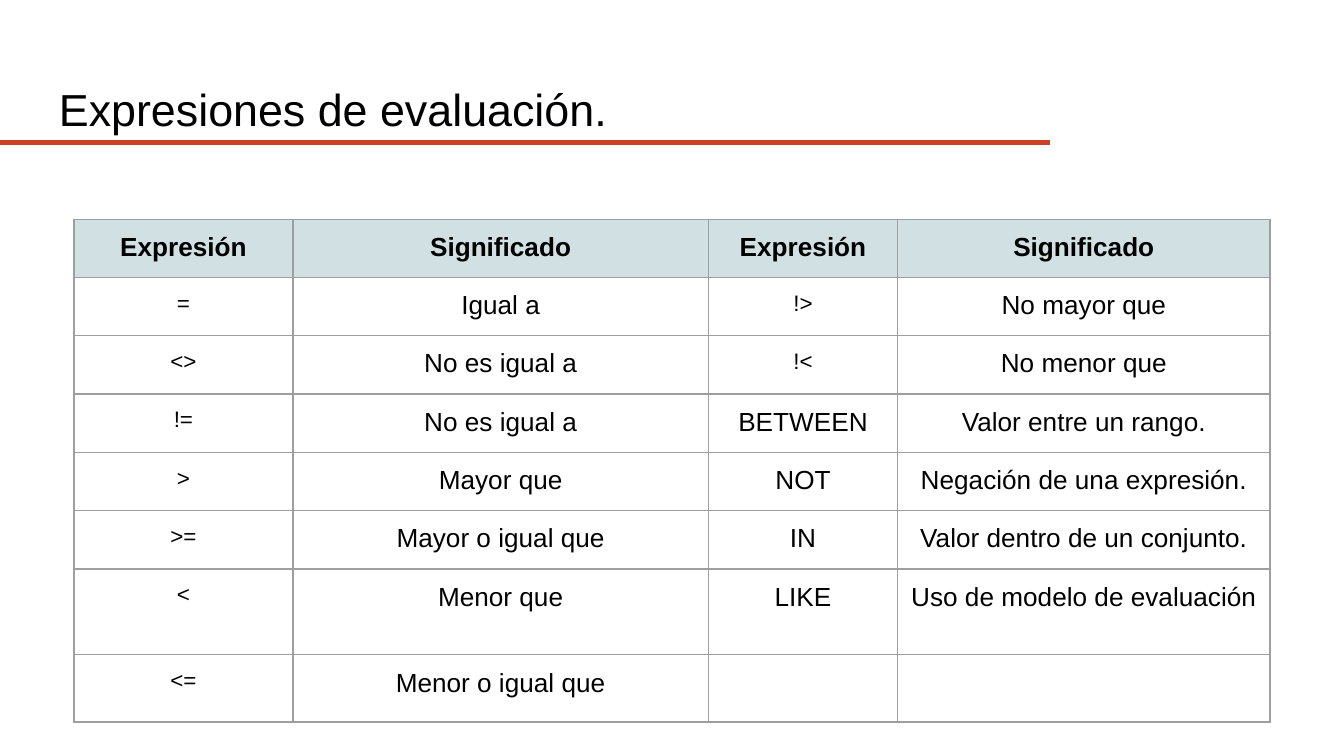
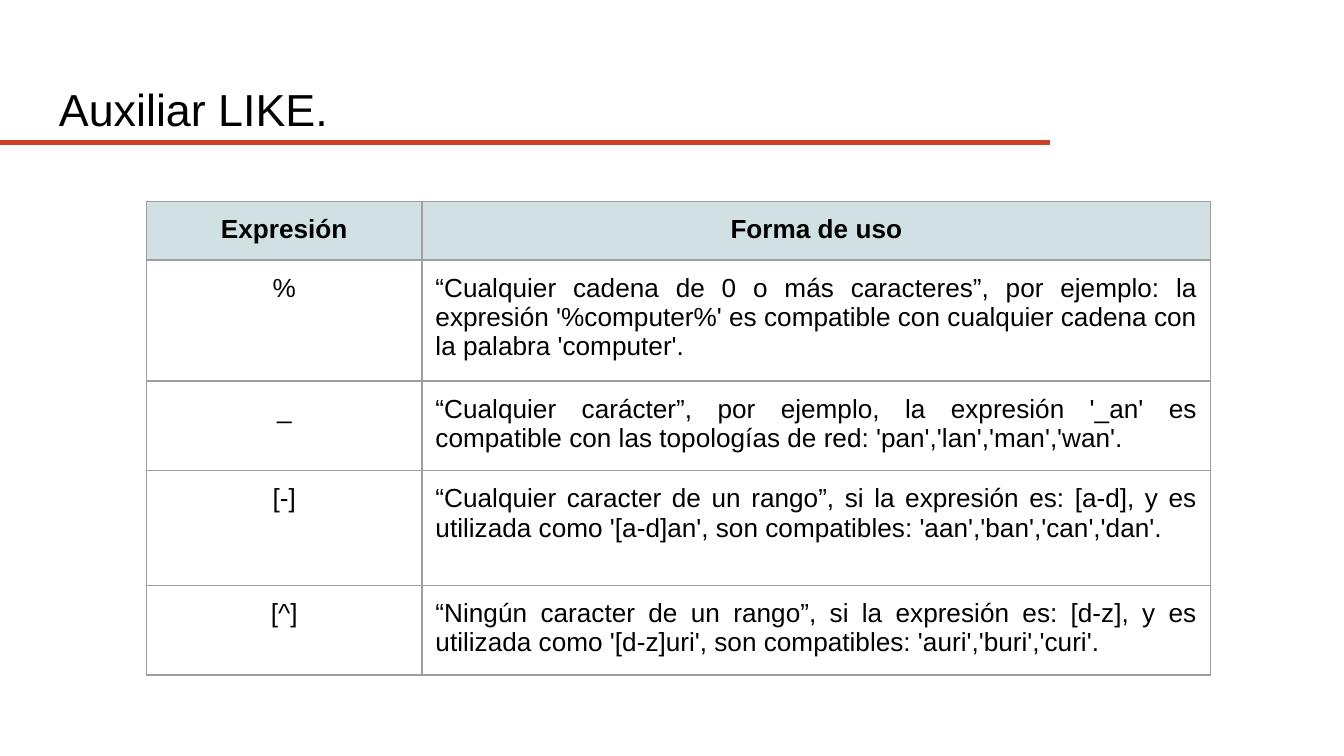
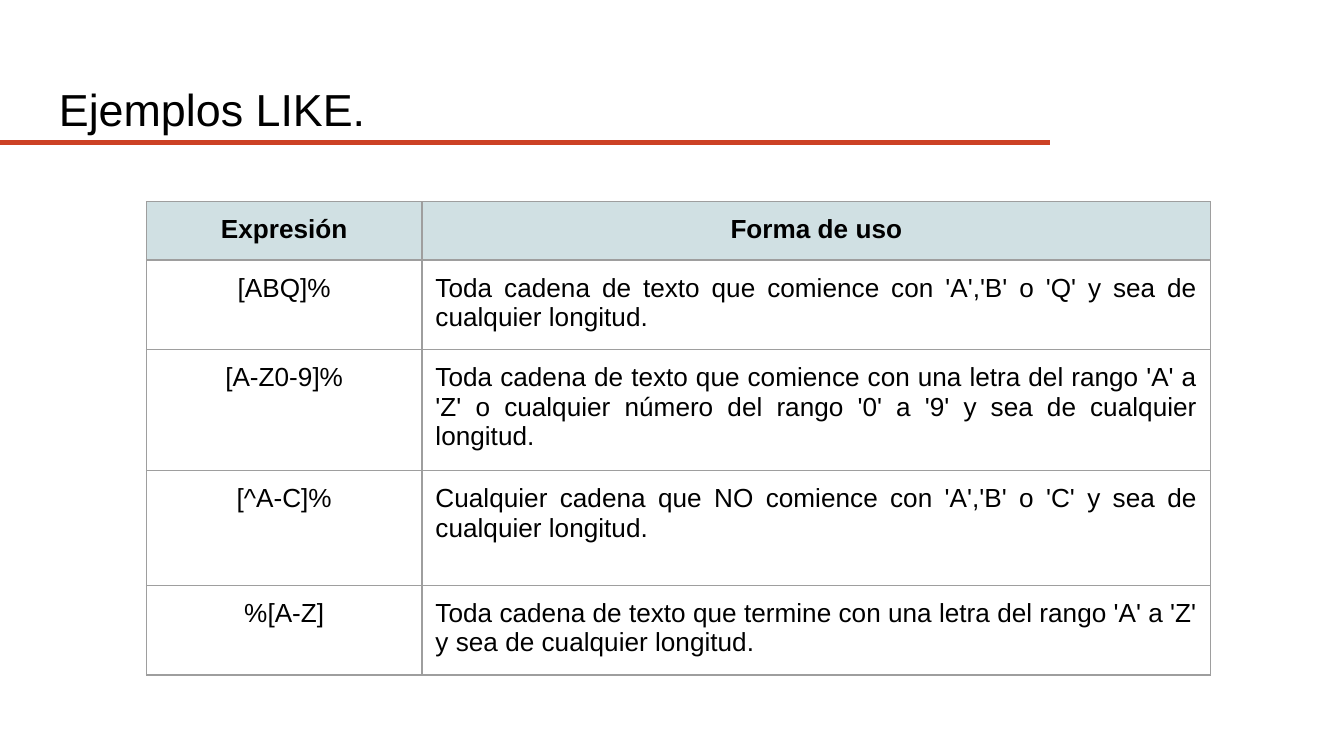
from lxml import etree
from pptx import Presentation
from pptx.dml.color import RGBColor
from pptx.enum.shapes import MSO_CONNECTOR
from pptx.enum.text import MSO_ANCHOR, PP_ALIGN
from pptx.oxml.ns import qn
from pptx.util import Pt

STRAIGHT = MSO_CONNECTOR.STRAIGHT
MIDDLE, TOP = MSO_ANCHOR.MIDDLE, MSO_ANCHOR.TOP
LEFT, CENTER, JUSTIFY = PP_ALIGN.LEFT, PP_ALIGN.CENTER, PP_ALIGN.JUSTIFY

COLORS = {"text": "000000", "rule": "CC4125", "header": "D0E0E3", "border": "9E9E9E"}
FONT = "Arial"
PADDING = {f"margin_{side}": Pt(7.2) for side in ("left", "top", "right", "bottom")}

# Boxes as left, top, width, height
TITLE_BOX = (24.5, 35.3, 671, 45.4)
RULE_BOX = (0, 76.3, 562.3, 0)
OPERATORS_BOX = (39.6, 117.4, 640.8, 260.6)
LIKE_BOX = (78.5, 108, 570.2, 245)

# Row heights by number of text lines
ONE, TWO, THREE = 30, 46, 61.5

OPERATOR_WIDTHS = (117.4, 222.5, 101.5, 199.4)
OPERATOR_HEIGHTS = [ONE] * 6 + [TWO, 34.3]
OPERATOR_ROWS = [
    ("Expresión", "Significado", "Expresión", "Significado"),
    ("=", "Igual a", "!>", "No mayor que"),
    ("<>", "No es igual a", "!<", "No menor que"),
    ("!=", "No es igual a", "BETWEEN", "Valor entre un rango."),
    (">", "Mayor que", "NOT", "Negación de una expresión."),
    (">=", "Mayor o igual que", "IN", "Valor dentro de un conjunto."),
    ("<", "Menor que", "LIKE", "Uso de modelo de evaluación"),
    ("<=", "Menor o igual que", "", ""),
]

LIKE_WIDTHS = (147.6, 422.6)
LIKE_HEADER = ("Expresión", "Forma de uso")
WILDCARD_HEIGHTS = (ONE, THREE, TWO, THREE, TWO)
WILDCARD_ROWS = [
    LIKE_HEADER,
    ("%", "“Cualquier cadena de 0 o más caracteres”, por ejemplo: la expresión "
          "'%computer%' es compatible con cualquier cadena con la palabra 'computer'."),
    ("_", "“Cualquier carácter”, por ejemplo, la expresión '_an' es compatible "
          "con las topologías de red: 'pan','lan','man','wan'."),
    ("[-]", "“Cualquier caracter de un rango”, si la expresión es: [a-d], y es "
            "utilizada como '[a-d]an', son compatibles: 'aan','ban','can','dan'."),
    ("[^]", "“Ningún caracter de un rango”, si la expresión es: [d-z], y es "
            "utilizada como '[d-z]uri', son compatibles: 'auri','buri','curi'."),
]
EXAMPLE_HEIGHTS = (ONE, TWO, THREE, THREE, TWO)
EXAMPLE_ROWS = [
    LIKE_HEADER,
    ("[ABQ]%", "Toda cadena de texto que comience con 'A','B' o 'Q' y sea de "
               "cualquier longitud."),
    ("[A-Z0-9]%", "Toda cadena de texto que comience con una letra del rango 'A' a 'Z' "
                  "o cualquier número del rango '0' a '9' y sea de cualquier longitud."),
    ("[^A-C]%", "Cualquier cadena que NO comience con 'A','B' o 'C' y sea de "
                "cualquier longitud."),
    ("%[A-Z]", "Toda cadena de texto que termine con una letra del rango 'A' a 'Z' "
               "y sea de cualquier longitud."),
]


def color(name):
    return RGBColor.from_string(COLORS[name])


def set_values(target, values):
    for name, value in values.items():
        setattr(target, name, value)


def write(frame, text, size, align=LEFT, bold=False):
    para = frame.paragraphs[0]
    para.alignment = align
    span = para.add_run()
    span.text = text
    set_values(span.font, {"name": FONT, "size": Pt(size), "bold": bold})
    span.font.color.rgb = color("text")


def add_borders(cell):
    properties = cell._tc.get_or_add_tcPr()
    for side in ("lnL", "lnR", "lnT", "lnB"):
        line = etree.SubElement(properties, qn(f"a:{side}"), w=str(Pt(0.75)))
        fill = etree.SubElement(line, qn("a:solidFill"))
        etree.SubElement(fill, qn("a:srgbClr"), val=COLORS["border"])


def add_title(page, text):
    # Title text
    box = page.shapes.add_textbox(*map(Pt, TITLE_BOX))
    set_values(box.text_frame, {"word_wrap": True, "vertical_anchor": MIDDLE, **PADDING})
    write(box.text_frame, text, 24)

    # Rule under the title
    left, top, width, height = RULE_BOX
    rule = page.shapes.add_connector(
        STRAIGHT, Pt(left), Pt(top), Pt(left + width), Pt(top + height))
    rule.line.color.rgb = color("rule")
    rule.line.width = Pt(3)
    etree.SubElement(rule._element.spPr, qn("a:effectLst"))


def add_grid(page, box, rows, widths, heights, body_align, symbol_size):
    """Table with a tinted header; symbol_size applies to cells without letters."""
    shape = page.shapes.add_table(len(rows), len(widths), *map(Pt, box))
    table = shape.table
    set_values(table, {"first_row": False, "horz_banding": False})
    for column, width in zip(table.columns, widths):
        column.width = Pt(width)
    for row, height in zip(table.rows, heights):
        row.height = Pt(height)

    for i, texts in enumerate(rows):
        header = i == 0
        for j, text in enumerate(texts):
            cell = table.cell(i, j)
            set_values(cell, {"vertical_anchor": TOP, **PADDING})
            add_borders(cell)
            if header:
                cell.fill.solid()
                cell.fill.fore_color.rgb = color("header")
            else:
                cell.fill.background()
            if text:
                has_letters = any(letter.isalpha() for letter in text)
                align = CENTER if header or j == 0 else body_align
                write(cell.text_frame, text, 14 if has_letters else symbol_size,
                      align, header)


def add_page(deck, title, *grid):
    page = deck.slides.add_slide(deck.slide_layouts[6])
    add_title(page, title)
    add_grid(page, *grid)


def main():
    deck = Presentation()
    set_values(deck, {"slide_width": Pt(720), "slide_height": Pt(405)})
    add_page(deck, "Expresiones de evaluación.", OPERATORS_BOX, OPERATOR_ROWS,
             OPERATOR_WIDTHS, OPERATOR_HEIGHTS, CENTER, 12)
    like_pages = [
        ("Auxiliar LIKE.", WILDCARD_ROWS, WILDCARD_HEIGHTS),
        ("Ejemplos LIKE.", EXAMPLE_ROWS, EXAMPLE_HEIGHTS),
    ]
    for title, rows, heights in like_pages:
        add_page(deck, title, LIKE_BOX, rows, LIKE_WIDTHS, heights, JUSTIFY, 14)
    deck.save("out.pptx")


if __name__ == "__main__":
    main()
